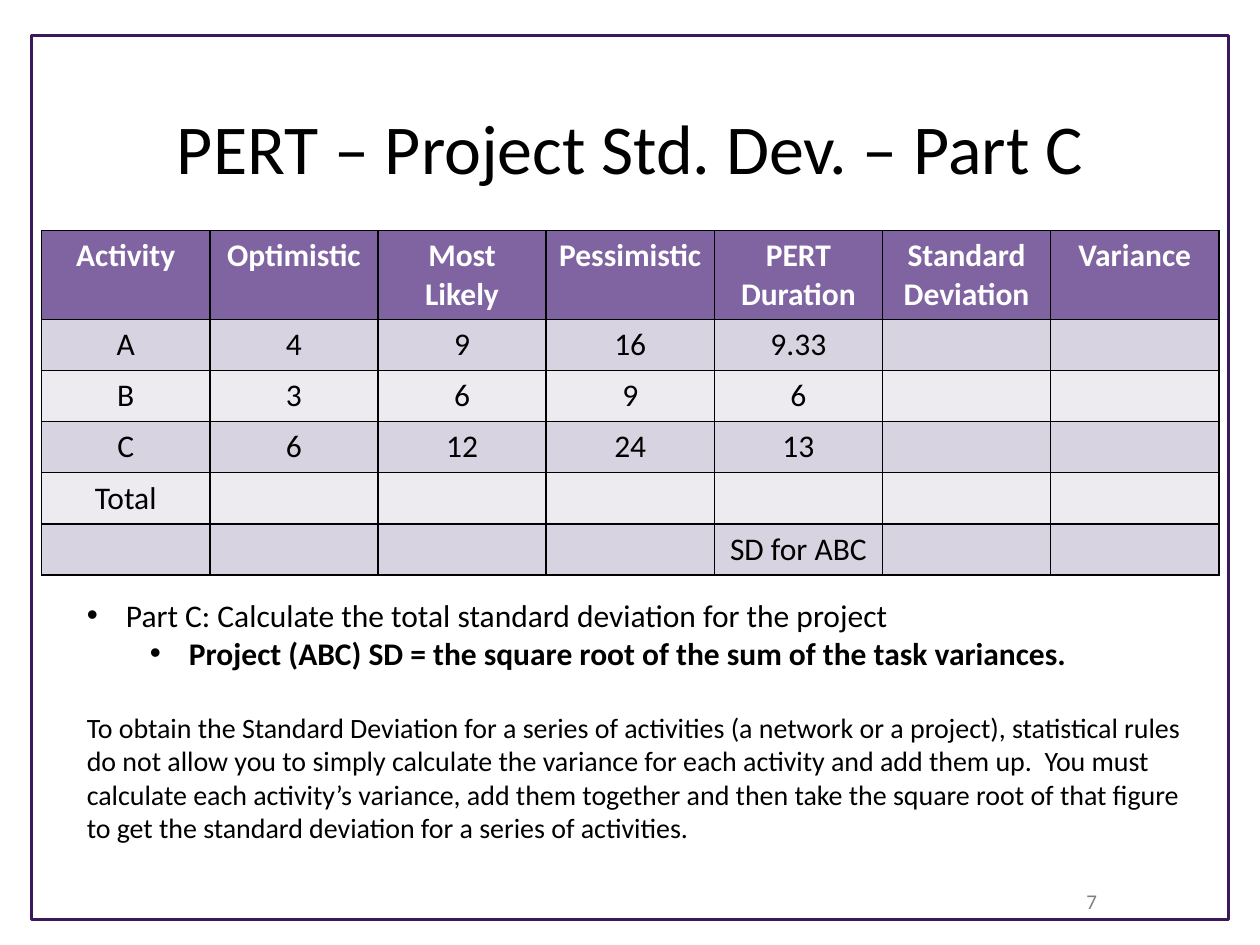
from lxml.etree import SubElement as Sub
from pptx import Presentation
from pptx.dml.color import RGBColor as Rgb
from pptx.enum.shapes import MSO_SHAPE as Shape
from pptx.enum.text import MSO_ANCHOR as Anchor, MSO_AUTO_SIZE as Fit, PP_ALIGN as Align
from pptx.oxml.ns import qn
from pptx.util import Cm, Pt

HUES = {"ink": "000000", "white": "FFFFFF", "frame": "3B185A", "head": "8064A2",
        "dark": "D8D3E0", "light": "EDEAF0", "gray": "808080"}
ROWS = [
    ["Activity", "Optimistic", "Most Likely", "Pessimistic", "PERT Duration",
     "Standard Deviation", "Variance"],
    ["A", "4", "9", "16", "9.33", "", ""],
    ["B", "3", "6", "9", "6", "", ""],
    ["C", "6", "12", "24", "13", "", ""],
    ["Total", "", "", "", "", "", ""],
    ["", "", "", "", "SD for ABC", "", ""],
]
NOTES = [
    ("Part C: Calculate the total standard deviation for the project", 18, 0.79, 0),
    ("Project (ABC) SD = the square root of the sum of the task variances.", 18, 2.06, 0),
    ("To obtain the Standard Deviation for a series of activities (a network or a "
     "project), statistical rules do not allow you to simply calculate the variance "
     "for each activity and add them up.  You must calculate each activity’s variance, "
     "add them together and then take the square root of that figure to get the "
     "standard deviation for a series of activities.", 16, 0, 22),
]


class Deck:
    """Hold the style and the current slide, and draw each kind of element."""

    def __init__(self, slide, font="Calibri"):
        self.slide = slide
        self.font = font

    def hue(self, name):
        return Rgb.from_string(HUES[name])

    def style(self, para, size, hue="ink", bold=False, align=Align.CENTER):
        para.alignment = align
        for run in para.runs:
            font = run.font
            font.name, font.size, font.bold = self.font, Pt(size), bold
            font.color.rgb = self.hue(hue)

    def frame(self, x, y, w, h):
        box = self.slide.shapes.add_shape(Shape.RECTANGLE, Cm(x), Cm(y), Cm(w), Cm(h))
        box.shadow.inherit = False
        box.fill.background()
        box.line.color.rgb = self.hue("frame")
        box.line.width = Pt(1.75)

    def box(self, x, y, w, h):
        frame = self.slide.shapes.add_textbox(Cm(x), Cm(y), Cm(w), Cm(h)).text_frame
        frame.word_wrap = True
        return frame

    def label(self, text, x, y, w, h, size, hue="ink", anchor=Anchor.TOP):
        frame = self.box(x, y, w, h)
        frame.text = text
        frame.vertical_anchor = anchor
        self.style(frame.paragraphs[0], size, hue)

    def notes(self, items, x, y, w, h):
        frame = self.box(x, y, w, h)
        frame.auto_size = Fit.SHAPE_TO_FIT_TEXT
        frame.text = "\n".join(item[0] for item in items)
        for para, (_, size, left, gap) in zip(frame.paragraphs, items):
            para.space_before = Pt(gap)
            para.level = int(left > 1)
            self.style(para, size, bold=left > 1, align=Align.LEFT)
            if left:
                self.bullet(para, left)

    def bullet(self, para, left):
        props = para._p.get_or_add_pPr()
        props.set("marL", str(Cm(left)))
        props.set("indent", str(-Cm(0.79)))
        Sub(props, qn("a:buFont"), typeface="Arial")
        Sub(props, qn("a:buChar"), char="•")

    def border(self, cell):
        props = cell._tc.get_or_add_tcPr()
        for side in "LRTB":
            line = Sub(props, qn(f"a:ln{side}"), w=str(Pt(1)))
            Sub(Sub(line, qn("a:solidFill")), qn("a:srgbClr"), val=HUES["ink"])

    def table(self, rows, x, y, wide, high, top):
        count = len(rows[0])
        grid = self.slide.shapes.add_table(
            len(rows), count, Cm(x), Cm(y), Cm(wide * count),
            Cm(top + high * (len(rows) - 1))).table
        for col in grid.columns:
            col.width = Cm(wide)
        for i, row in enumerate(rows):
            grid.rows[i].height = Cm(high if i else top)
            fill = ("light", "dark")[i % 2] if i else "head"
            for j, text in enumerate(row):
                cell = grid.cell(i, j)
                self.border(cell)
                cell.fill.solid()
                cell.fill.fore_color.rgb = self.hue(fill)
                cell.text_frame.text = text
                self.style(cell.text_frame.paragraphs[0], 18,
                           "ink" if i else "white", not i)


def main():
    show = Presentation()
    show.slide_width, show.slide_height = Cm(25.4), Cm(19.05)
    deck = Deck(show.slides.add_slide(show.slide_layouts[6]))
    deck.frame(0.64, 0.71, 24.13, 17.83)
    deck.label("PERT – Project Std. Dev. – Part C", 1.27, 1.47, 22.86, 2.97, 40,
               anchor=Anchor.MIDDLE)
    deck.table(ROWS, 0.84, 4.65, 3.39, 1.03, 1.79)
    deck.notes(NOTES, 1.5, 11.89, 22.66, 5.31)
    deck.label("7", 19.05, 17.78, 5.92, 1.02, 12, "gray")
    show.save("out.pptx")


if __name__ == "__main__":
    main()
